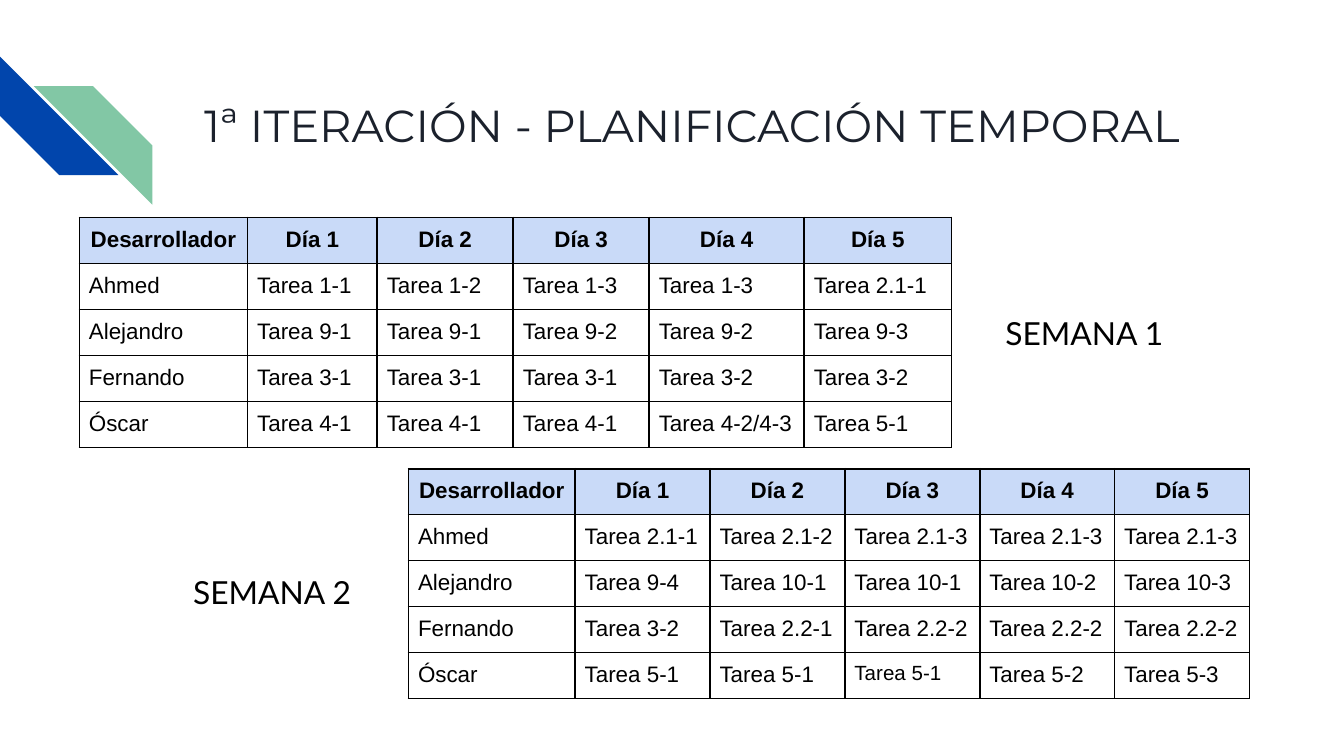
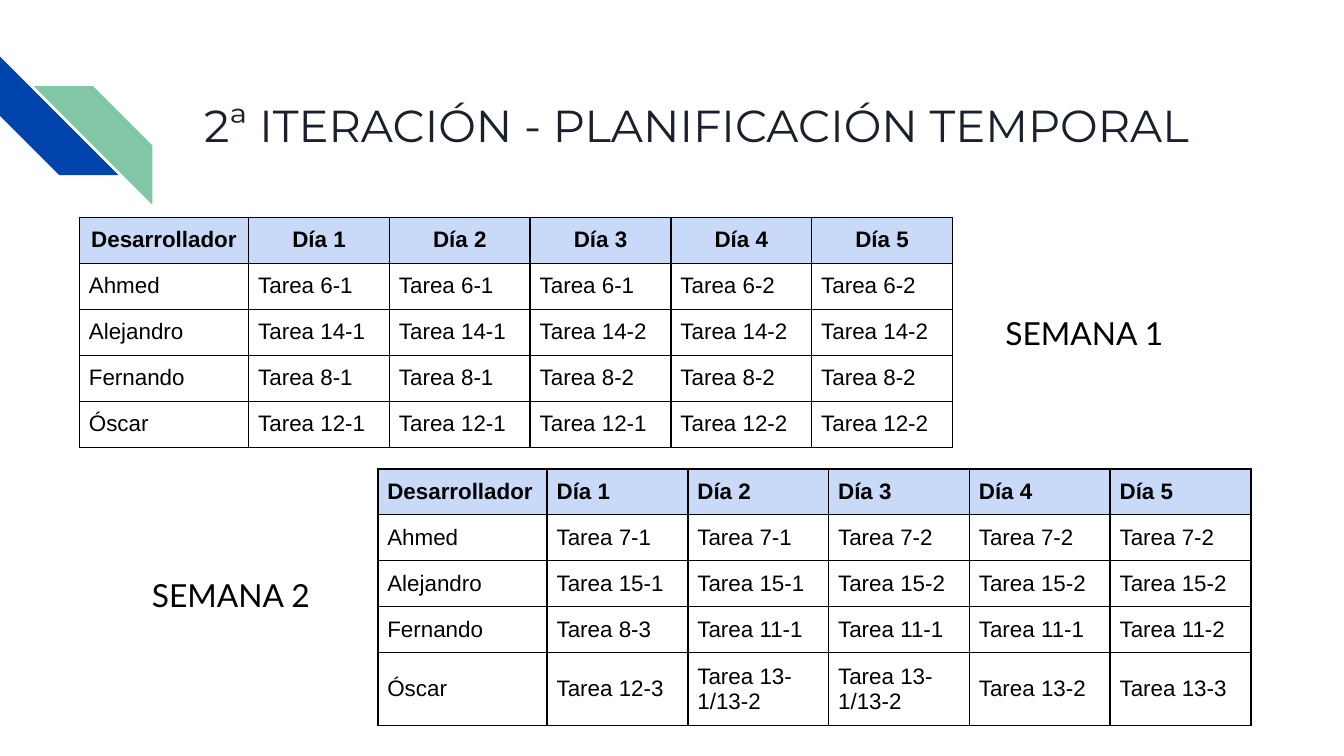
"""Builds two slides with the weekly task plan of each iteration."""
from dataclasses import dataclass

from lxml import etree
from pptx import Presentation
from pptx.dml.color import RGBColor
from pptx.enum.shapes import MSO_SHAPE
from pptx.enum.text import MSO_ANCHOR, MSO_AUTO_SIZE, PP_ALIGN
from pptx.oxml.ns import qn
from pptx.util import Cm, Pt

STRIPE = MSO_SHAPE.DIAGONAL_STRIPE
TOP, MIDDLE = MSO_ANCHOR.TOP, MSO_ANCHOR.MIDDLE
LEFT, CENTER = PP_ALIGN.LEFT, PP_ALIGN.CENTER
FIT_SHAPE = MSO_AUTO_SIZE.SHAPE_TO_FIT_TEXT


@dataclass(frozen=True)
class Theme:
    blue: str = "0145AC"
    green: str = "82C7A5"
    header: str = "C9DAF8"
    dark: str = "1B212C"
    black: str = "000000"
    title_font: str = "Montserrat"
    label_font: str = "Lato"
    table_font: str = "Arial"
    title_size: int = 24
    label_size: int = 17
    table_size: int = 12
    small_size: int = 11


theme = Theme()
HEADER = ["Desarrollador"] + [f"Día {day}" for day in range(1, 6)]
DEVELOPERS = ["Ahmed", "Alejandro", "Fernando", "Óscar"]
ROW_HEIGHT = 0.83
CELL_INSET = 0.18
EVEN_COLUMNS = [3.2] + [2.66] * 5
STRIPES = [(0, 1.07, 270, theme.blue), (0.64, 1.63, 90, theme.green)]

ITERATIONS = [
    ("1ª ITERACIÓN - PLANIFICACIÓN TEMPORAL", [
        {"label": "SEMANA 1", "label_at": (18.75, 5.69), "table_at": (1.5, 4.11),
         "columns": [3.18, 2.45, 2.57, 2.57, 2.93, 2.78], "align": CENTER, "anchor": TOP,
         "small": [],
         "tasks": ["1-1 1-2 1-3 1-3 2.1-1", "9-1 9-1 9-2 9-2 9-3",
                   "3-1 3-1 3-1 3-2 3-2", "4-1 4-1 4-1 4-2/4-3 5-1"]},
        {"label": "SEMANA 2", "label_at": (3.4, 10.57), "table_at": (7.72, 8.86),
         "columns": [3.15] + [2.55] * 5, "align": CENTER, "anchor": TOP,
         "small": [(4, 3)],
         "tasks": ["2.1-1 2.1-2 2.1-3 2.1-3 2.1-3", "9-4 10-1 10-1 10-2 10-3",
                   "3-2 2.2-1 2.2-2 2.2-2 2.2-2", "5-1 5-1 5-1 5-2 5-3"]},
    ]),
    ("2ª ITERACIÓN - PLANIFICACIÓN TEMPORAL", [
        {"label": "SEMANA 1", "label_at": (18.75, 5.69), "table_at": (1.5, 4.11),
         "columns": EVEN_COLUMNS, "align": CENTER, "anchor": TOP, "small": [],
         "tasks": ["6-1 6-1 6-1 6-2 6-2", "14-1 14-1 14-2 14-2 14-2",
                   "8-1 8-1 8-2 8-2 8-2", "12-1 12-1 12-1 12-2 12-2"]},
        {"label": "SEMANA 2", "label_at": (2.62, 10.64), "table_at": (7.14, 8.86),
         "columns": EVEN_COLUMNS, "align": LEFT, "anchor": MIDDLE, "small": [],
         "tasks": ["7-1 7-1 7-2 7-2 7-2", "15-1 15-1 15-2 15-2 15-2",
                   "8-3 11-1 11-1 11-1 11-2", "12-3 13-1/13-2 13-1/13-2 13-2 13-3"]},
    ]),
]


def write(frame, text, font, size, color, bold=False, align=LEFT):
    para = frame.paragraphs[0]
    para.add_run().text = text
    para.alignment = align
    para.font.name = font
    para.font.size = Pt(size)
    para.font.bold = bold
    para.font.color.rgb = RGBColor.from_string(color)


def add_text_box(page, left, top, width, height):
    frame = page.shapes.add_textbox(Cm(left), Cm(top), Cm(width), Cm(height)).text_frame
    frame.word_wrap = True
    frame.margin_left = frame.margin_right = Cm(0.25)
    frame.margin_top = frame.margin_bottom = Cm(0.25)
    return frame


deck = Presentation()
deck.slide_width, deck.slide_height = Cm(25.4), Cm(14.29)

for title, weeks in ITERATIONS:
    page = deck.slides.add_slide(deck.slide_layouts[6])
    for left, top, rotation, color in STRIPES:
        stripe = page.shapes.add_shape(STRIPE, Cm(left), Cm(top), Cm(2.24), Cm(2.24))
        stripe.rotation = rotation
        stripe.shadow.inherit = False
        stripe.fill.solid()
        stripe.fill.fore_color.rgb = RGBColor.from_string(color)
        stripe.line.fill.background()

    heading = add_text_box(page, 3.61, 1.09, 19.56, 2.54)
    heading.vertical_anchor = MIDDLE
    write(heading, title, theme.title_font, theme.title_size, theme.dark)

    for week in weeks:
        rows = [HEADER]
        for developer, tasks in zip(DEVELOPERS, week["tasks"]):
            rows.append([developer] + [f"Tarea {task}" for task in tasks.split()])

        left, top = week["table_at"]
        table = page.shapes.add_table(
            len(rows), len(HEADER), Cm(left), Cm(top),
            Cm(sum(week["columns"])), Cm(ROW_HEIGHT * len(rows))).table
        table.first_row = table.horz_banding = False
        for column, width in zip(table.columns, week["columns"]):
            column.width = Cm(width)

        for row_index, row in enumerate(rows):
            table.rows[row_index].height = Cm(ROW_HEIGHT)
            is_header = row_index == 0
            for column_index, text in enumerate(row):
                cell = table.cell(row_index, column_index)
                cell.margin_left = cell.margin_right = Cm(CELL_INSET)
                cell.margin_top = cell.margin_bottom = Cm(CELL_INSET)
                cell.vertical_anchor = week["anchor"]
                properties = cell._tc.get_or_add_tcPr()
                for side in ("a:lnL", "a:lnR", "a:lnT", "a:lnB"):
                    border = etree.SubElement(properties, qn(side), w=str(Pt(1)))
                    paint = etree.SubElement(border, qn("a:solidFill"))
                    etree.SubElement(paint, qn("a:srgbClr"), val=theme.black)
                if is_header:
                    cell.fill.solid()
                    cell.fill.fore_color.rgb = RGBColor.from_string(theme.header)
                else:
                    cell.fill.background()
                is_small = (row_index, column_index) in week["small"]
                write(cell.text_frame, text, theme.table_font,
                      theme.small_size if is_small else theme.table_size, theme.black,
                      bold=is_header, align=week["align"] if is_header else LEFT)

    for week in weeks:
        label = add_text_box(page, *week["label_at"], 3.73, 1.24)
        label.auto_size = FIT_SHAPE
        write(label, week["label"], theme.label_font, theme.label_size, theme.black)

deck.save("out.pptx")
